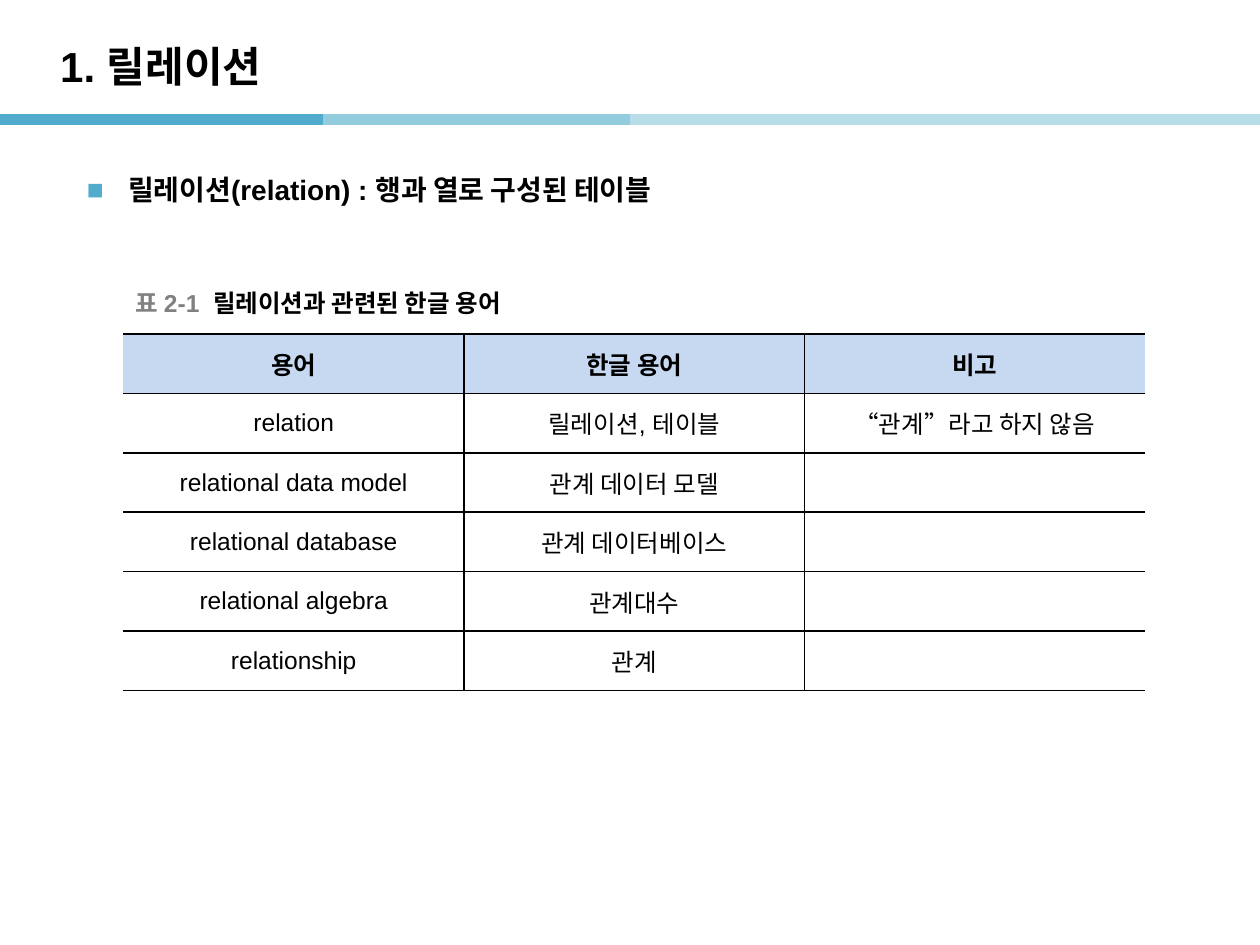
from dataclasses import dataclass

from pptx import Presentation
from pptx.dml.color import RGBColor
from pptx.enum.shapes import MSO_CONNECTOR
from pptx.enum.text import MSO_ANCHOR, PP_ALIGN
from pptx.oxml.ns import qn
from pptx.util import Inches, Pt
from lxml import etree

STRAIGHT = MSO_CONNECTOR.STRAIGHT
TOP, MIDDLE = MSO_ANCHOR.TOP, MSO_ANCHOR.MIDDLE
CENTER = PP_ALIGN.CENTER

UNIT = 0.1  # one grid column or row, in inches
COLUMNS, ROWS = 100, 75


@dataclass(frozen=True)
class Theme:
    latin: str = "Arial"
    korean: str = "Noto Sans CJK KR"
    ink: str = "000000"
    muted: str = "808080"
    paper: str = "FFFFFF"
    header: str = "C6D9F1"
    accent: str = "50ABCC"
    accent_mid: str = "93CDDD"
    accent_light: str = "B7DEE8"
    title_size: int = 24
    body_size: int = 16
    table_size: int = 14
    rule_width: int = 6
    border_width: int = 1


def grid(*units):
    return [Inches(unit * UNIT) for unit in units]


def add_node(parent, tag, **attributes):
    return etree.SubElement(parent, qn(tag), attributes)


class SlideBuilder:
    def __init__(self, page, theme):
        self.page = page
        self.theme = theme

    def span(self, para, text, size, color=None, bold=True, latin=None):
        span = para.add_run()
        span.text = text
        font = span.font
        font.name = latin or self.theme.latin
        font.size = Pt(size)
        font.bold = bold
        font.color.rgb = RGBColor.from_string(color or self.theme.ink)
        add_node(span._r.get_or_add_rPr(), "a:ea", typeface=self.theme.korean)

    def text(self, area, spans, size, anchor=MIDDLE):
        """Add a text box; spans are (text, color) pairs of one paragraph."""
        box = self.page.shapes.add_textbox(*grid(*area))
        frame = box.text_frame
        frame.word_wrap = True
        frame.vertical_anchor = anchor
        para = frame.paragraphs[0]
        for text, color in spans:
            self.span(para, text, size, color)
        return para

    def bullet(self, area, text):
        para = self.text(area, [(text, self.theme.ink)], self.theme.body_size, TOP)
        para.line_spacing = 1.5
        props = para._p.get_or_add_pPr()
        indent = Inches(0.33)
        props.set("marL", str(indent))
        props.set("indent", str(-indent))
        add_node(add_node(props, "a:buClr"), "a:srgbClr", val=self.theme.accent)
        add_node(props, "a:buFont", typeface=self.theme.latin)
        add_node(props, "a:buChar", char="■")

    def rule(self, left, right, row, color):
        line = self.page.shapes.add_connector(STRAIGHT, *grid(left, row, right, row))
        line.line.color.rgb = RGBColor.from_string(color)
        line.line.width = Pt(self.theme.rule_width)
        add_node(line._element.spPr, "a:effectLst")

    def borders(self, cell, visible):
        """Draw the visible sides (letters of LRTB) and clear the others."""
        props = cell._tc.get_or_add_tcPr()
        for side in "LRTB":
            width = str(Pt(self.theme.border_width))
            edge = add_node(props, f"a:ln{side}", w=width)
            if side in visible:
                fill = add_node(edge, "a:solidFill")
                add_node(fill, "a:srgbClr", val=self.theme.ink)
            else:
                add_node(edge, "a:noFill")

    def table(self, area, rows):
        theme = self.theme
        last = len(rows[0]) - 1
        frame = self.page.shapes.add_table(len(rows), last + 1, *grid(*area))
        table = frame.table
        table.first_row = table.horz_banding = False
        for r, row in enumerate(rows):
            header = r == 0
            for c, text in enumerate(row):
                cell = table.cell(r, c)
                self.borders(cell, "TB" + "L" * (c > 0) + "R" * (c < last))
                cell.fill.solid()
                color = theme.header if header else theme.paper
                cell.fill.fore_color.rgb = RGBColor.from_string(color)
                cell.vertical_anchor = MIDDLE
                para = cell.text_frame.paragraphs[0]
                para.alignment = CENTER
                if text:
                    latin = theme.korean if header else theme.latin
                    self.span(para, text, theme.table_size, bold=header, latin=latin)


def main():
    theme = Theme()
    deck = Presentation()
    deck.slide_width, deck.slide_height = grid(COLUMNS, ROWS)
    slide = SlideBuilder(deck.slides.add_slide(deck.slide_layouts[6]), theme)

    stops = [0, 25.6, 50, COLUMNS]
    colors = [theme.accent, theme.accent_mid, theme.accent_light]
    for left, right, color in zip(stops, stops[1:], colors):
        slide.rule(left, right, 9.5, color)

    slide.text((3.8, 2.2, 82.7, 6), [("1. 릴레이션", theme.ink)], theme.title_size)
    slide.bullet((5.9, 11.9, 88.2, 59.8), "릴레이션(relation) : 행과 열로 구성된 테이블")

    slide.table((9.8, 26.5, 81.1, 28.3), [
        ("용어", "한글 용어", "비고"),
        ("relation", "릴레이션, 테이블", "“관계”라고 하지 않음"),
        ("relational data model", "관계 데이터 모델", ""),
        ("relational database", "관계 데이터베이스", ""),
        ("relational algebra", "관계대수", ""),
        ("relationship", "관계", ""),
    ])
    caption = [("표 2-1  ", theme.muted), ("릴레이션과 관련된 한글 용어", theme.ink)]
    slide.text((9.8, 22.5, 40, 3.1), caption, theme.table_size)

    deck.save("out.pptx")


if __name__ == "__main__":
    main()
